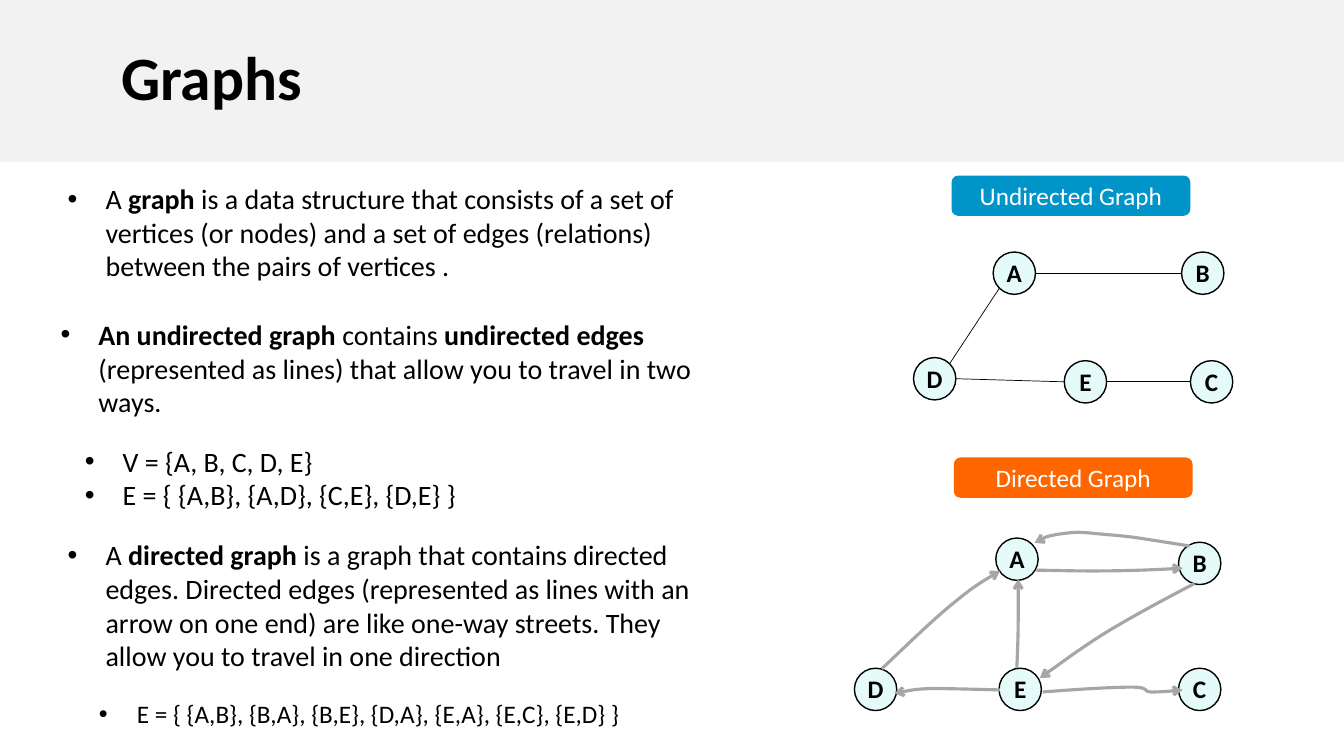
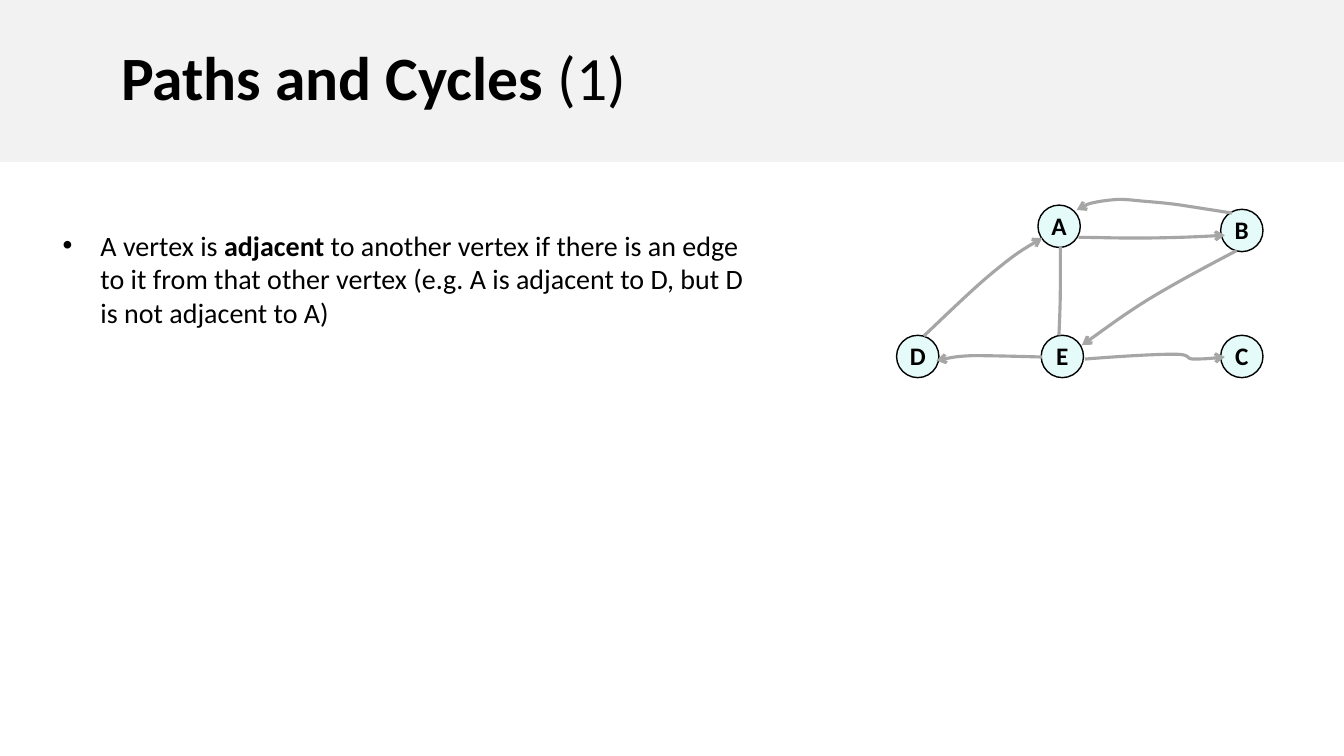
from dataclasses import dataclass

from lxml.etree import SubElement
from pptx import Presentation
from pptx.dml.color import RGBColor
from pptx.enum.shapes import MSO_CONNECTOR, MSO_SHAPE
from pptx.enum.text import MSO_ANCHOR, PP_ALIGN
from pptx.oxml.ns import qn
from pptx.util import Pt


@dataclass(frozen=True)
class Theme:
    font: str = "Calibri"
    text: str = "000000"
    light_text: str = "FFFFFF"
    band: str = "F2F2F2"
    node: str = "E5FBF9"
    arrow: str = "A6A6A6"
    undirected: str = "0094C8"
    directed: str = "FF6600"
    title_size: float = 44
    body_size: float = 20
    label_size: float = 18


THEME = Theme()
SLIDE_WIDTH, SLIDE_HEIGHT = 960, 540
BAND_HEIGHT = 115.7
TITLE_INDENT = 86.5
BULLET_INDENT = 27
NODE_SIZE = 30.25
BADGE_WIDTH, BADGE_HEIGHT = 170.6, 28.8

# Text between double asterisks is bold.
# Bullet boxes: left, top, width, height, type size, paragraphs.
SLIDES = [
    {
        "title": "**Graphs**",
        "bullets": [
            (41.3, 126.2, 480, 79, THEME.body_size, [
                "A **graph** is a data structure that consists of a set of vertices (or nodes) "
                "and a set of edges (relations) between the pairs of vertices ."]),
            (36.2, 223.2, 480, 79, THEME.body_size, [
                "**An undirected graph **contains **undirected edges **(represented as lines) "
                "that allow you to travel in two ways."]),
            (53.5, 313.8, 480, 55, THEME.body_size, [
                "V = {A, B, C, D, E}",
                "E = { {A,B}, {A,D}, {C,E}, {D,E} }"]),
            (41.3, 380.7, 480, 104, THEME.body_size, [
                "A **directed graph** is a graph that contains directed edges. Directed edges "
                "(represented as lines with an arrow on one end) are like one-way streets. "
                "They allow you to travel in one direction"]),
            (63.6, 495.5, 430, 29, THEME.label_size, [
                "E = { {A,B}, {B,A}, {B,E}, {D,A}, {E,A}, {E,C}, {E,D} }"]),
        ],
        "badges": [
            ("Undirected Graph", 679.7, 125.4, THEME.undirected),
            ("Directed Graph", 681.3, 326.8, THEME.directed),
        ],
        "undirected_graph": True,
        "directed_origin": (610.3, 379.8),
        "plain_edges": (),
    },
    {
        "title": "**Paths and Cycles **(1)",
        "bullets": [
            (37.7, 159.3, 513, 79, THEME.body_size, [
                "A vertex is **adjacent** to another vertex if there is an edge to it from that "
                "other vertex (e.g. A is adjacent to D, but D is not adjacent to A)"]),
        ],
        "badges": [],
        "undirected_graph": False,
        "directed_origin": (640.4, 142),
        "plain_edges": ("EA",),
    },
]

UNDIRECTED_NODES = {"A": (709.4, 180), "B": (844, 180), "D": (652.5, 255.4),
                    "E": (760.2, 257.6), "C": (850.3, 257.6)}
UNDIRECTED_EDGES = [("A", "right", "B", "left"), ("A", "bottom left", "D", "top right"),
                    ("D", "right", "E", "left"), ("E", "right", "C", "left")]
# Where an edge meets a node, as shares of the node's size.
PORTS = {"left": (0, 0.5), "right": (1, 0.5),
         "bottom left": (0.15, 0.85), "top right": (0.85, 0.15)}

# Positions from the graph's origin.
DIRECTED_NODES = {"A": (101, 4.5), "B": (231.5, 7.5), "E": (103.3, 97.5),
                  "D": (0, 97.5), "C": (231.5, 97.5)}
# Each edge is a chain of cubic curves: a start, then two controls and an end per curve.
DIRECTED_EDGES = {
    "AB": [(130, 27.5), (141, 27.5), (152.5, 28), (170, 28),
           (187, 28), (211, 27.5), (234.5, 26)],
    "BA": [(239.5, 10.2), (228, 8.4), (216.5, 6.6), (205, 4.8),
           (195, 3.2), (184, 2.4), (176, 1.7), (168.5, 1), (164.5, 0.4), (159, 0.4),
           (153, 0.7), (146, 1.6), (141, 2.7), (136, 3.8), (132.5, 5.8), (128.7, 8)],
    "BE": [(243, 37), (221, 48.5), (199.5, 60), (180.5, 71.5),
           (162, 83), (147.5, 94), (132.5, 104.5)],
    "EA": [(116, 97.5), (116.5, 86), (117, 74.5), (117, 63.5),
           (117, 53.5), (117, 43.5), (117, 34)],
    "DA": [(19.5, 98), (38.5, 80), (57.5, 61.5), (72, 50),
           (86, 38.5), (95, 33.5), (104, 28)],
    "ED": [(104, 113), (85.5, 112.5), (67.5, 112), (54.5, 112),
           (42.5, 112.5), (36, 114), (28.5, 115.5)],
    "EC": [(134.5, 114.5), (159.5, 112.5), (185, 111), (198, 111),
           (211, 111), (206, 114), (211.5, 114.5), (218, 114.5), (226, 114), (234.5, 113)],
}


def color(value):
    return RGBColor.from_string(value)


def write(paragraph, text, size, font_color=THEME.text, align=PP_ALIGN.LEFT):
    """Fill a paragraph, making the parts between double asterisks bold."""
    paragraph.alignment = align
    for index, part in enumerate(text.split("**")):
        if part:
            run = paragraph.add_run()
            run.text = part
            run.font.name = THEME.font
            run.font.size = Pt(size)
            run.font.bold = index % 2 == 1
            run.font.color.rgb = color(font_color)


def add_box(shapes, kind, left, top, width, height, text, fill, *,
            size=THEME.label_size, font_color=THEME.text, line=None,
            align=PP_ALIGN.CENTER, indent=0):
    """Add a filled preset shape that holds one line of text."""
    shape = shapes.add_shape(kind, Pt(left), Pt(top), Pt(width), Pt(height))
    shape.shadow.inherit = False
    shape.fill.solid()
    shape.fill.fore_color.rgb = color(fill)
    if line:
        shape.line.color.rgb = color(line)
        shape.line.width = Pt(1)
    else:
        shape.line.fill.background()
    frame = shape.text_frame
    frame.word_wrap = False
    frame.vertical_anchor = MSO_ANCHOR.MIDDLE
    frame.margin_left = Pt(indent)
    frame.margin_right = frame.margin_top = 0
    frame.margin_bottom = Pt(1)
    write(frame.paragraphs[0], text, size, font_color, align)
    return shape


def add_title(slide, text):
    band = add_box(slide.shapes, MSO_SHAPE.RECTANGLE, 0, 0, SLIDE_WIDTH, BAND_HEIGHT, text,
                   THEME.band, size=THEME.title_size, align=PP_ALIGN.LEFT, indent=TITLE_INDENT)
    band.text_frame.paragraphs[0].line_spacing = 0.9


def add_bullets(slide, left, top, width, height, size, texts):
    box = slide.shapes.add_textbox(Pt(left), Pt(top), Pt(width), Pt(height))
    frame = box.text_frame
    frame.word_wrap = True
    for index, text in enumerate(texts):
        paragraph = frame.add_paragraph() if index else frame.paragraphs[0]
        write(paragraph, text, size)
        properties = paragraph._p.get_or_add_pPr()
        properties.set("marL", str(Pt(BULLET_INDENT)))
        properties.set("indent", str(-Pt(BULLET_INDENT)))
        SubElement(properties, qn("a:buFont"), typeface="Arial")
        SubElement(properties, qn("a:buChar"), char="•")


def add_nodes(shapes, nodes, origin=(0, 0)):
    for name, (x, y) in nodes.items():
        add_box(shapes, MSO_SHAPE.OVAL, origin[0] + x, origin[1] + y, NODE_SIZE, NODE_SIZE,
                f"**{name}**", THEME.node, line=THEME.text)


def port_position(node, port):
    return [Pt(start + NODE_SIZE * share)
            for start, share in zip(UNDIRECTED_NODES[node], PORTS[port])]


def add_undirected_graph(slide):
    add_nodes(slide.shapes, UNDIRECTED_NODES)
    for start, start_port, end, end_port in UNDIRECTED_EDGES:
        edge = slide.shapes.add_connector(
            MSO_CONNECTOR.STRAIGHT, *port_position(start, start_port),
            *port_position(end, end_port))
        edge.line.color.rgb = color(THEME.text)
        edge.line.width = Pt(0.5)
        SubElement(edge._element.spPr, qn("a:effectLst"))


def bend(freeform):
    """Turn every three line segments of a freeform into one cubic Bézier curve."""
    segments = list(freeform._element.iter(qn("a:lnTo")))
    for first in range(0, len(segments), 3):
        outline = segments[first].getparent()
        curve = SubElement(outline, qn("a:cubicBezTo"))
        for segment in segments[first:first + 3]:
            curve.append(segment[0])
            outline.remove(segment)


def add_curved_edge(shapes, controls, origin, arrow):
    points = [(Pt(origin[0] + x), Pt(origin[1] + y)) for x, y in controls]
    builder = shapes.build_freeform(*points[0])
    builder.add_line_segments(points[1:], close=False)
    edge = builder.convert_to_shape()
    bend(edge)
    edge.shadow.inherit = False
    edge.fill.background()
    edge.line.color.rgb = color(THEME.arrow)
    edge.line.width = Pt(2.25)
    if arrow:
        SubElement(edge.line._get_or_add_ln(), qn("a:tailEnd"), type="arrow")


def add_directed_graph(slide, origin, plain_edges):
    shapes = slide.shapes.add_group_shape().shapes
    add_nodes(shapes, DIRECTED_NODES, origin)
    for name, controls in DIRECTED_EDGES.items():
        add_curved_edge(shapes, controls, origin, arrow=name not in plain_edges)


def main():
    presentation = Presentation()
    presentation.slide_width = Pt(SLIDE_WIDTH)
    presentation.slide_height = Pt(SLIDE_HEIGHT)
    for content in SLIDES:
        slide = presentation.slides.add_slide(presentation.slide_layouts[6])
        add_title(slide, content["title"])
        for bullets in content["bullets"]:
            add_bullets(slide, *bullets)
        for text, left, top, fill in content["badges"]:
            add_box(slide.shapes, MSO_SHAPE.ROUNDED_RECTANGLE, left, top, BADGE_WIDTH,
                    BADGE_HEIGHT, text, fill, font_color=THEME.light_text)
        if content["undirected_graph"]:
            add_undirected_graph(slide)
        add_directed_graph(slide, content["directed_origin"], content["plain_edges"])
    presentation.save("out.pptx")


if __name__ == "__main__":
    main()
